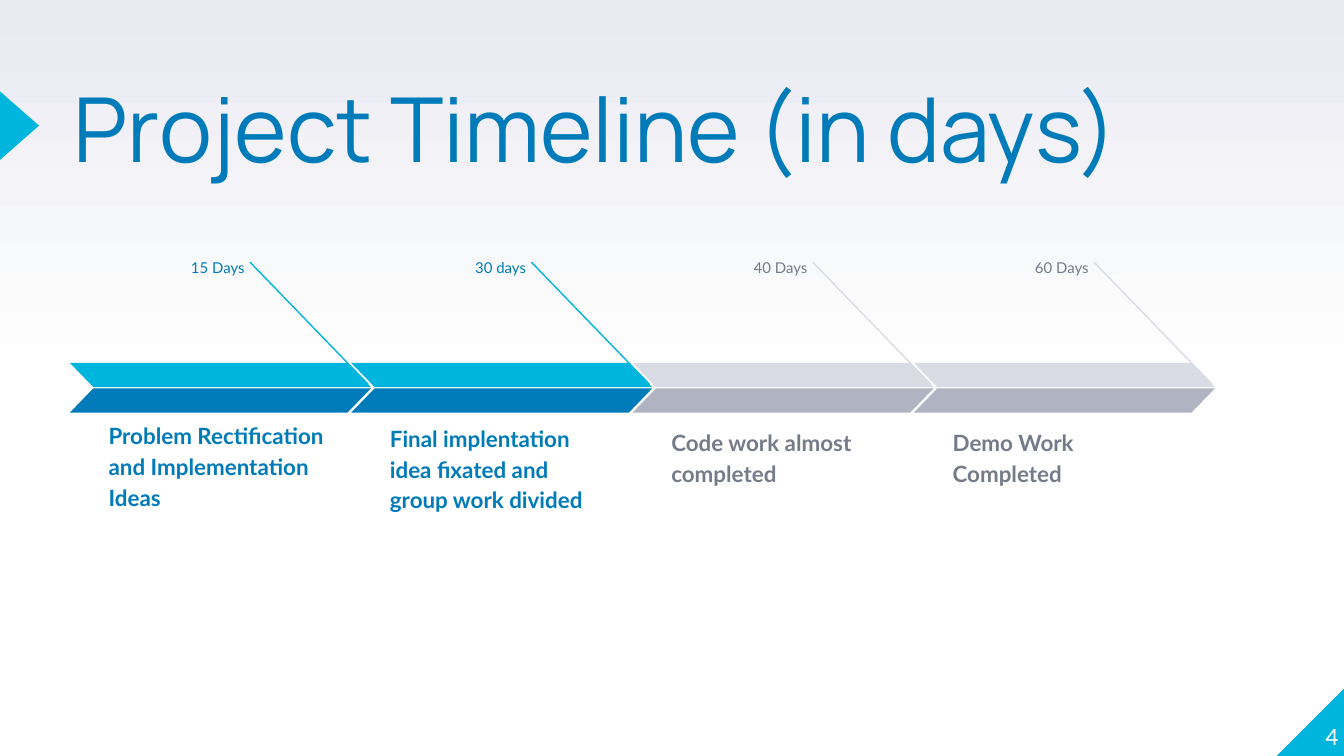
from copy import deepcopy
from dataclasses import dataclass

from lxml import etree
from pptx import Presentation
from pptx.dml.color import RGBColor
from pptx.enum.shapes import MSO_CONNECTOR, MSO_SHAPE
from pptx.enum.text import MSO_ANCHOR, PP_ALIGN
from pptx.oxml.ns import qn
from pptx.util import Inches, Pt

WIDE = 10
HIGH = WIDE * 9 / 16
LEFT, RIGHT = PP_ALIGN.LEFT, PP_ALIGN.RIGHT
TOP, MID, LOW = MSO_ANCHOR.TOP, MSO_ANCHOR.MIDDLE, MSO_ANCHOR.BOTTOM
SLANT = MSO_SHAPE.PARALLELOGRAM
CORNER = MSO_SHAPE.RIGHT_TRIANGLE
ARROW = MSO_SHAPE.ISOSCELES_TRIANGLE
STRAIGHT = MSO_CONNECTOR.STRAIGHT

CYAN, BLUE, WHITE = "00B5DD", "007BB9", "FFFFFF"
PALE, GREY, SLATE, MIST = "DADCE5", "B0B3C1", "757B89", "E9EAF2"

# Timeline grid: four equal columns
START = 0.52
PITCH = (6.8 - START) / 3
BAND_TOP, BAND_STEP = 2.7, 0.19


@dataclass
class Tone:
    light: str
    dark: str
    ink: str


@dataclass
class Stage:
    days: str
    task: str
    top: float
    tone: Tone


DONE = Tone(CYAN, BLUE, BLUE)
AHEAD = Tone(PALE, GREY, SLATE)
STAGES = [
    Stage("15 Days", "Problem Rectification and Implementation Ideas", 3.35, DONE),
    Stage("30 days", "Final implentation idea fixated and group work divided", 3.37, DONE),
    Stage("40 Days", "Code work almost completed", 3.17, AHEAD),
    Stage("60 Days", "Demo Work Completed", 3.17, AHEAD),
]


def paint(color, value: str) -> None:
    color.rgb = RGBColor.from_string(value)


def add_text(host, box: tuple, text: str, *, size: float, color: str,
             font: str = "Lato", bold: bool = False, align=LEFT, anchor=TOP,
             inset: float = 0, space: float = 1, after: float = 0) -> None:
    frame = host.add_textbox(*map(Inches, box)).text_frame
    frame.word_wrap = True
    frame.vertical_anchor = anchor
    frame.margin_left = frame.margin_right = Inches(inset)
    frame.margin_top = frame.margin_bottom = Inches(inset)
    para = frame.paragraphs[0]
    para.alignment, para.line_spacing = align, space
    para.space_after = Pt(after)
    run = para.add_run()
    run.text = text
    run.font.name, run.font.size, run.font.bold = font, Pt(size), bold
    paint(run.font.color, color)


def add_block(host, kind, box: tuple, color: str, *, flip: bool = False,
              turn: float = 0, lean: float | None = None) -> None:
    block = host.add_shape(kind, *map(Inches, box))
    block.shadow.inherit = False
    block.fill.solid()
    paint(block.fill.fore_color, color)
    block.line.fill.background()
    block.rotation = turn
    if lean is not None:
        block.adjustments[0] = lean
    if flip:
        block.element.spPr.xfrm.set("flipH", "1")


def add_line(host, ends: tuple, color: str) -> None:
    line = host.add_connector(STRAIGHT, *map(Inches, ends))
    line.line.width = Pt(0.75)
    paint(line.line.color, color)
    etree.SubElement(line.element.spPr, qn("a:effectLst"))


def add_stage(slide, col: int, stage: Stage) -> None:
    host = slide.shapes.add_group_shape().shapes
    left, tone = START + col * PITCH, stage.tone
    add_text(host, (left + 0.64, 1.83, 0.76, 0.29), stage.days, size=8,
             color=tone.ink, align=RIGHT, inset=0.1, space=1.15, after=16)
    add_text(host, (left + 0.19, stage.top, 1.84, 0.55), stage.task, size=12,
             color=tone.ink, bold=True, anchor=LOW, inset=0.1, space=1.15)
    add_line(host, (left + 1.34, 1.95, left + 2.22, 2.86), tone.light)
    # Two mirrored bands make one chevron
    for row, color in enumerate((tone.light, tone.dark)):
        add_block(host, SLANT, (left, BAND_TOP + row * BAND_STEP, 2.24, 0.18),
                  color, flip=row == 0, lean=0.97)


def set_back(slide) -> None:
    fill = slide.background.fill
    fill.gradient()
    fill.gradient_angle = 90
    for stop, color in zip(fill.gradient_stops, (WHITE, MIST)):
        paint(stop.color, color)
    # White holds up to the middle
    first = slide.element.xpath(".//p:bg//a:gs")[0]
    middle = deepcopy(first)
    middle.set("pos", "50000")
    first.addnext(middle)


def main() -> None:
    deck = Presentation()
    deck.slide_width, deck.slide_height = Inches(WIDE), Inches(HIGH)
    slide = deck.slides.add_slide(deck.slide_layouts[6])
    set_back(slide)
    # Corner with page number, and title marker
    add_block(slide.shapes, CORNER, (WIDE - 0.5, HIGH - 0.51, 0.51, 0.51), CYAN, flip=True)
    add_block(slide.shapes, ARROW, (-0.11, 0.79, 0.51, 0.29), CYAN, turn=90)
    add_text(slide.shapes, (9.46, 5.07, 0.5, 0.51), "4", size=12,
             color=WHITE, align=RIGHT, anchor=LOW)
    # Timeline
    for col, stage in enumerate(STAGES):
        add_stage(slide, col, stage)
    # Title
    add_text(slide.shapes, (0.55, 0.7, 8.6, 0.64), "Project Timeline (in days)",
             size=48, color=BLUE, font="Manrope", anchor=MID, space=0.8)
    deck.save("out.pptx")


if __name__ == "__main__":
    main()
